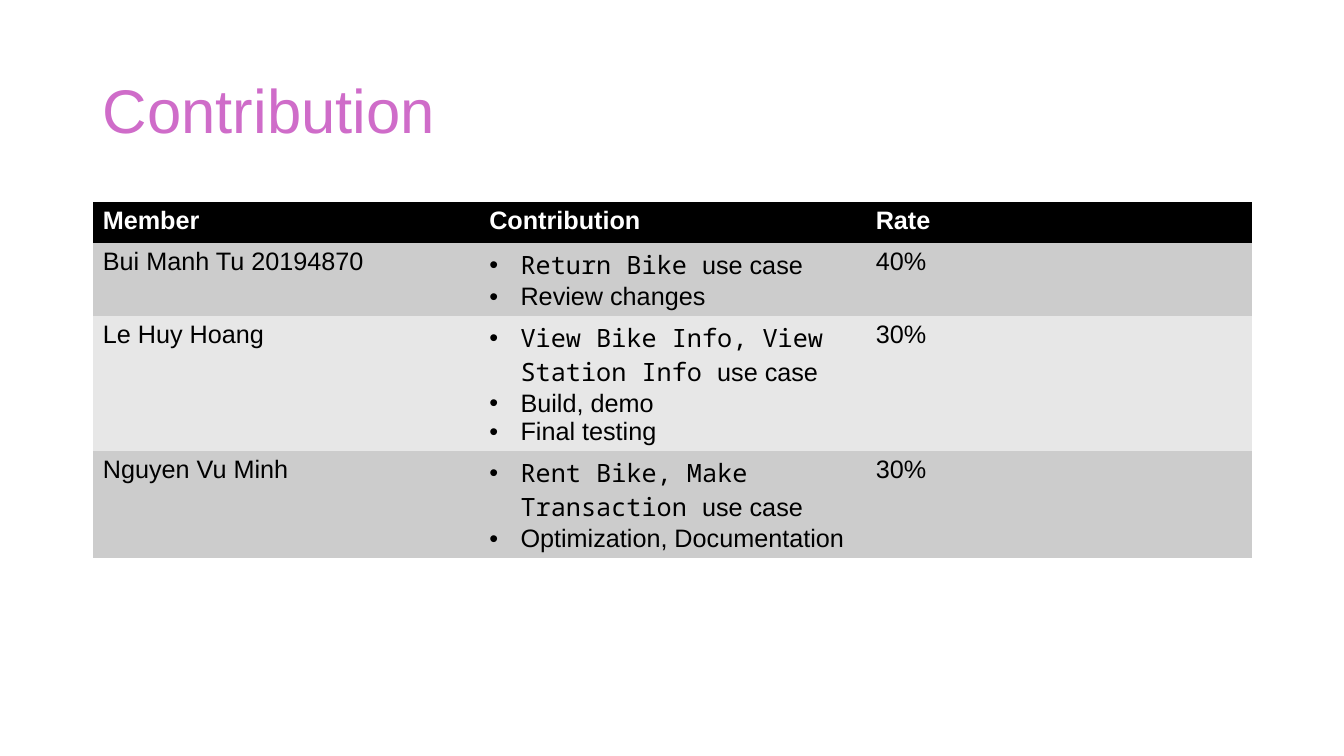
from lxml import etree
from pptx import Presentation
from pptx.dml.color import RGBColor
from pptx.enum.text import MSO_ANCHOR, PP_ALIGN
from pptx.oxml.ns import qn
from pptx.util import Inches, Pt

MIDDLE = MSO_ANCHOR.MIDDLE
LEFT = PP_ALIGN.LEFT

TITLE = "Contribution"
HEADERS = ["Member", "Contribution", "Rate"]
# Each task is (code name, plain text)
MEMBERS = [
    ("Bui Manh Tu 20194870",
     [("Return Bike ", "use case"), ("", "Review changes")], "40%"),
    ("Le Huy Hoang",
     [("View Bike Info, View Station Info ", "use case"),
      ("", "Build, demo"), ("", "Final testing")], "30%"),
    ("Nguyen Vu Minh",
     [("Rent Bike, Make Transaction ", "use case"),
      ("", "Optimization, Documentation")], "30%"),
]
COLORS = {"header": "000000", "odd": "CCCCCC", "even": "E7E7E7",
          "text": "000000", "header_text": "FFFFFF", "title": "CF6CC9"}
TITLE_GRADIENT = [(0, "B29CE8"), (39, COLORS["title"]), (100, "EE609C")]
BODY_FONT, CODE_FONT = "Arial", "Noto Sans Mono"
PLAIN_TABLE_STYLE = "{2D5ABB26-0587-4C30-8999-92F81FD0307C}"
MARGIN, CONTENT_WIDTH = 0.92, 11.5
TABLE_TOP, ROW_HEIGHT = 2, 0.41
BULLET_INDENT = Inches(0.31)


def add_text(para, text, font=BODY_FONT, size=18, color=COLORS["text"], bold=False):
    span = para.add_run()
    span.text = text
    span.font.name = font
    span.font.size = Pt(size)
    span.font.bold = bold
    span.font.color.rgb = RGBColor.from_string(color)
    return span


def set_gradient(span, stops):
    span.font.fill.gradient()
    span.font.fill.gradient_angle = 0
    stop_list = span.font._element.find(qn("a:gradFill")).find(qn("a:gsLst"))
    for old_stop in list(stop_list):
        stop_list.remove(old_stop)
    for percent, color in stops:
        stop = etree.SubElement(stop_list, qn("a:gs"), pos=str(percent * 1000))
        etree.SubElement(stop, qn("a:srgbClr"), val=color)


def add_bullet(para):
    properties = para._p.get_or_add_pPr()
    properties.set("marL", str(BULLET_INDENT))
    properties.set("indent", str(-BULLET_INDENT))
    etree.SubElement(properties, qn("a:buFont"), typeface=BODY_FONT)
    etree.SubElement(properties, qn("a:buChar"), char="•")


def fill_cell(cell, color):
    cell.fill.solid()
    cell.fill.fore_color.rgb = RGBColor.from_string(color)


def add_title(page):
    title = page.shapes.title
    title.left, title.top = Inches(MARGIN), Inches(0.4)
    title.width, title.height = Inches(CONTENT_WIDTH), Inches(1.45)
    title.text_frame.vertical_anchor = MIDDLE
    title.text_frame.word_wrap = True
    para = title.text_frame.paragraphs[0]
    para.alignment = LEFT
    para.line_spacing = 0.9
    set_gradient(add_text(para, TITLE, size=44), TITLE_GRADIENT)


def add_tasks(frame, tasks):
    for index, (code, plain) in enumerate(tasks):
        para = frame.add_paragraph() if index else frame.paragraphs[0]
        add_bullet(para)
        if code:
            add_text(para, code, font=CODE_FONT)
        add_text(para, plain)


def add_member_table(page):
    row_count = len(MEMBERS) + 1
    frame = page.shapes.add_table(
        row_count, len(HEADERS), Inches(MARGIN), Inches(TABLE_TOP),
        Inches(CONTENT_WIDTH), Inches(ROW_HEIGHT * row_count))
    table = frame.table
    table._tbl.tblPr.find(qn("a:tableStyleId")).text = PLAIN_TABLE_STYLE
    for row in table.rows:
        row.height = Inches(ROW_HEIGHT)

    for column, header in enumerate(HEADERS):
        cell = table.cell(0, column)
        fill_cell(cell, COLORS["header"])
        add_text(cell.text_frame.paragraphs[0], header,
                 color=COLORS["header_text"], bold=True)

    for row, (name, tasks, rate) in enumerate(MEMBERS, start=1):
        for column in range(len(HEADERS)):
            fill_cell(table.cell(row, column), COLORS["odd" if row % 2 else "even"])
        add_text(table.cell(row, 0).text_frame.paragraphs[0], name)
        add_tasks(table.cell(row, 1).text_frame, tasks)
        add_text(table.cell(row, 2).text_frame.paragraphs[0], rate)


def main():
    deck = Presentation()
    deck.slide_width, deck.slide_height = Inches(13.33), Inches(7.5)
    page = deck.slides.add_slide(deck.slide_layouts[5])
    add_title(page)
    add_member_table(page)
    deck.save("out.pptx")


if __name__ == "__main__":
    main()
